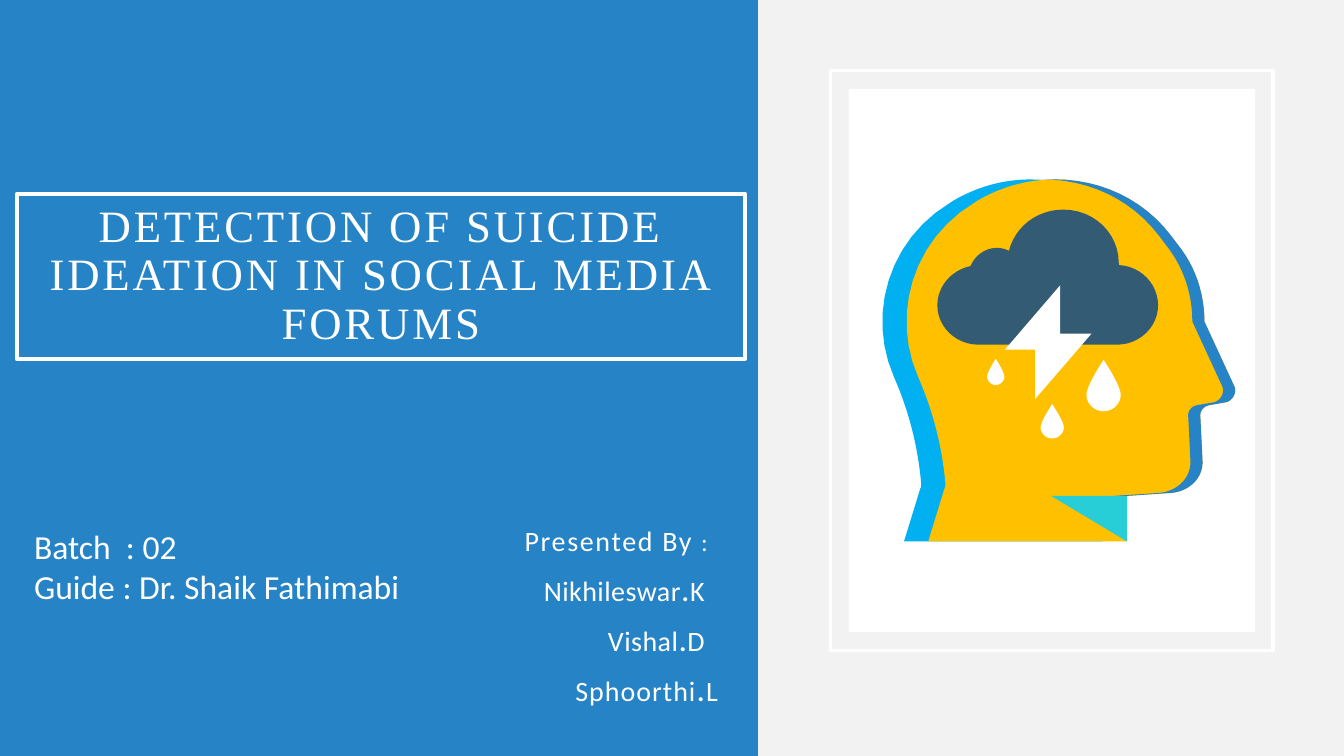
from pptx import Presentation
from pptx.util import Cm, Pt
from pptx.dml.color import RGBColor
from pptx.enum.shapes import MSO_SHAPE
from pptx.enum.text import MSO_ANCHOR, PP_ALIGN

RECT = MSO_SHAPE.RECTANGLE
TOP, MID = MSO_ANCHOR.TOP, MSO_ANCHOR.MIDDLE
LEFT, MIDDLE, RIGHT = PP_ALIGN.LEFT, PP_ALIGN.CENTER, PP_ALIGN.RIGHT
BLUE, WHITE, GREY = "2683C6", "FFFFFF", "F2F2F2"
CYAN, GOLD, TEAL, SLATE = "00B0F0", "FFC000", "27CED7", "335B74"
UNIT = 0.0254  # cm per step of the drawing grid
STEPS = 12     # straight pieces per curve


def color(code):
    return RGBColor.from_string(code)


def trace(start, *parts):
    """Points along a path: a pair is a line, six numbers a cubic curve."""
    pts = [start]
    for part in parts:
        if len(part) == 2:
            pts.append(part)
            continue
        ctrl = (pts[-1], part[:2], part[2:4], part[4:])
        for i in range(1, STEPS + 1):
            t = i / STEPS
            mix = ((1 - t) ** 3, 3 * t * (1 - t) ** 2, 3 * t * t * (1 - t), t ** 3)
            pts.append(tuple(sum(m * c[k] for m, c in zip(mix, ctrl)) for k in (0, 1)))
    return pts


def shift(pts, dx):
    return [(x + dx, y) for x, y in pts]


def drop(x, top, wide, high):
    """Rain drop with its tip at x, top."""
    half, low, end = wide / 2, top + high * 0.68, top + high
    return trace((x, top),
                 (x, top, x - half, top + high * 0.5, x - half, low),
                 (x - half, top + high * 0.85, x - half * 0.55, end, x, end),
                 (x + half * 0.55, end, x + half, top + high * 0.85, x + half, low),
                 (x + half, top + high * 0.5, x, top, x, top))


class Page:
    def __init__(self, deck, back, font, ink):
        self.slide = deck.slides.add_slide(deck.slide_layouts[6])
        self.font, self.ink = font, ink
        self.slide.background.fill.solid()
        self.slide.background.fill.fore_color.rgb = color(back)

    def paint(self, shape, fill=None, line=None, width=1):
        shape.shadow.inherit = False
        if fill:
            shape.fill.solid()
            shape.fill.fore_color.rgb = color(fill)
        else:
            shape.fill.background()
        if line:
            shape.line.color.rgb = color(line)
            shape.line.width = Pt(width)
        else:
            shape.line.fill.background()
        return shape

    def box(self, x, y, w, h, **look):
        shape = self.slide.shapes.add_shape(RECT, Cm(x), Cm(y), Cm(w), Cm(h))
        return self.paint(shape, **look)

    def form(self, pts, fill):
        emu = [(Cm(x * UNIT), Cm(y * UNIT)) for x, y in pts]
        pen = self.slide.shapes.build_freeform(*emu[0])
        pen.add_line_segments(emu[1:], close=True)
        return self.paint(pen.convert_to_shape(), fill=fill)

    def area(self, x, y, w, h):
        return self.slide.shapes.add_textbox(Cm(x), Cm(y), Cm(w), Cm(h))

    def label(self, shape, rows, size=24, font=None, align=LEFT, anchor=TOP,
              pad=None, space=None, before=0, ends=()):
        """Each row is a text or a list of (text, size, letter spacing)."""
        frame = shape.text_frame
        frame.word_wrap, frame.vertical_anchor = True, anchor
        if pad:
            frame.margin_left = frame.margin_right = Cm(pad)
            frame.margin_top = frame.margin_bottom = Cm(pad)
        for i, row in enumerate(rows):
            para = frame.paragraphs[0] if i == 0 else frame.add_paragraph()
            para.alignment, para.space_before = align, Pt(before)
            if space:
                para.line_spacing = space
            if ends:
                para._p.get_or_add_pPr().set("marR", str(Cm(ends[i])))
            for text, pts, gap in [(row, size, 0)] if isinstance(row, str) else row:
                run = para.add_run()
                run.text = text
                run.font.size, run.font.name = Pt(pts), font or self.font
                run.font.color.rgb = color(self.ink)
                run._r.get_or_add_rPr().set("spc", str(round(gap * 100)))


def main():
    deck = Presentation()
    deck.slide_width, deck.slide_height = Cm(33.87), Cm(19.05)
    page = Page(deck, GREY, "Calibri", WHITE)

    # Blue panel and title
    page.box(0, 0, 19.1, 19.05, fill=BLUE)
    title = page.box(0.43, 4.88, 18.34, 4.17, line=WHITE, width=3)
    page.label(title, [[("DETECTION OF SUICIDE IDEATION IN SOCIAL MEDIA FORUMS", 32, 2)]],
               font="Times New Roman", align=MIDDLE, anchor=MID, pad=0.51, space=0.9)

    # Framed card
    page.box(20.93, 1.78, 11.15, 14.61, line=WHITE, width=2.5)
    page.box(21.39, 2.24, 10.24, 13.69, fill=WHITE)

    # Presenters
    names = [("Nikhileswar", "K", 0.3), ("Vishal", "D", 0.3), ("Sphoorthi", "L", 0.7)]
    rows = [[("Presented By", 20, 1.2), (" ", 24, -2.5), (":", 18, 0)]]
    rows += [[(name, 20, gap), (".", 24, gap), (last, 20, gap)] for name, last, gap in names]
    page.label(page.area(11.28, 13.03, 7.06, 5.38), rows, align=RIGHT,
               space=0.9, before=10, ends=(0.25, 0.33, 0.33, 0))

    # Head: back, front and the edge of the face
    face = trace((1118, 492), (1163, 489), (1181, 487, 1195, 473, 1193, 455),
                 (1191, 414), (1190, 408, 1194, 403, 1200, 402), (1217, 399),
                 (1223, 397, 1227, 390, 1225, 384), (1195, 319),
                 (1195, 291, 1186, 264, 1168, 242), (1162, 234),
                 (1134, 197, 1091, 178, 1047, 178))
    nape = trace((1047, 178), (1020, 178, 994, 185, 970, 199), (967, 201),
                 (905, 238, 884, 313, 911, 374), (926, 408, 935, 444, 938, 480),
                 (938, 482, 938, 483, 937, 485), (921, 537), (1118, 537))
    head = nape + face
    page.form(shift(head, -24), CYAN)
    page.form(head, GOLD)
    page.form([(1043, 492), (1118, 537), (1118, 492)], TEAL)
    page.form(face + shift(face, -12)[::-1], BLUE)

    # Storm cloud, bolt and rain
    cloud = trace((1055, 208), (1029, 208, 1007, 225, 1001, 249),
                  (998, 247, 993, 246, 989, 246), (977, 246, 967, 254, 963, 264),
                  (944, 268, 930, 284, 930, 303), (930, 324, 948, 342, 971, 342),
                  (1108, 342), (1131, 342, 1149, 324, 1149, 303),
                  (1149, 282, 1132, 264, 1110, 263), (1110, 261),
                  (1110, 232, 1086, 208, 1055, 208))
    page.form(cloud, SLATE)
    page.form([(1052, 283), (997, 347), (1027, 347), (1027, 396), (1083, 331), (1052, 331)], WHITE)
    for spot in ((988, 356, 17, 26), (1095, 357, 34, 51), (1044, 401, 23, 34)):
        page.form(drop(*spot), WHITE)

    # Batch and guide
    page.label(page.area(0.61, 13.13, 10.11, 2.31),
               ["Batch  : 02", "Guide : Dr. Shaik Fathimabi"])
    deck.save("out.pptx")


if __name__ == "__main__":
    main()
